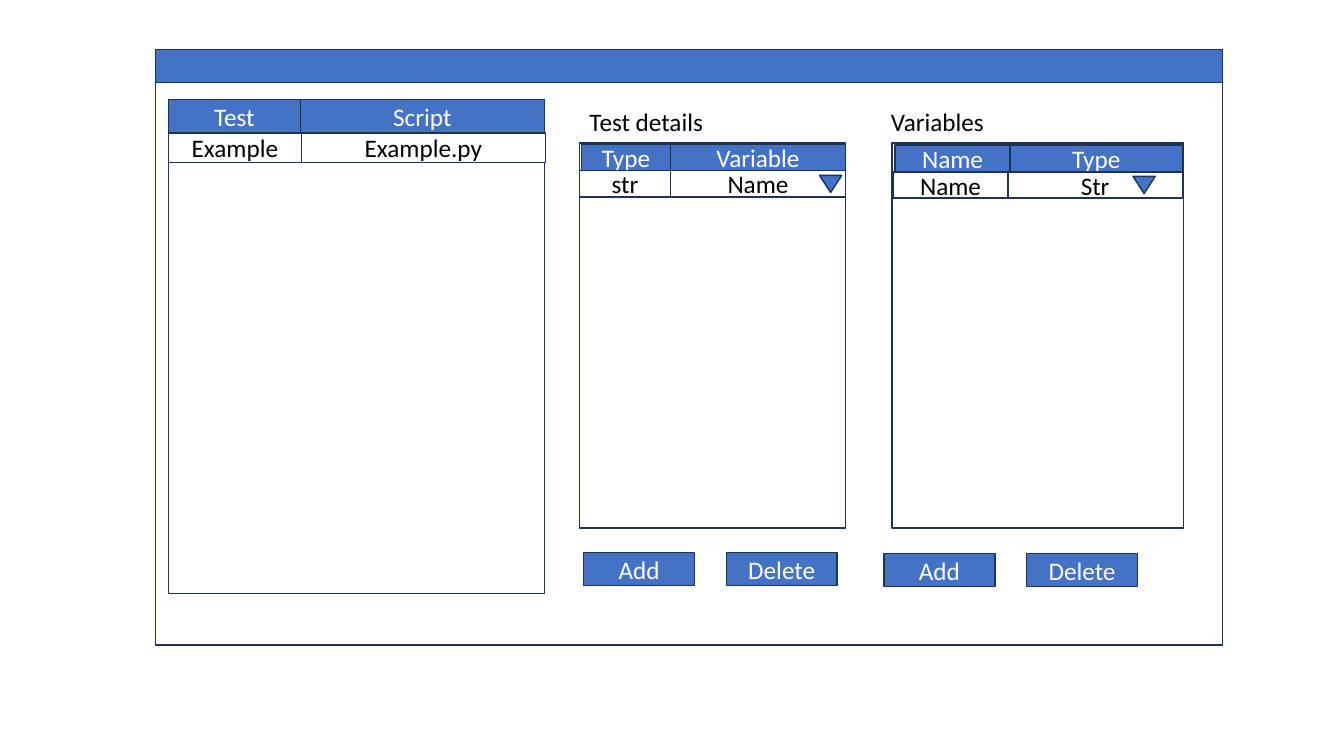
from dataclasses import dataclass
from typing import Optional

from pptx import Presentation
from pptx import util as u
from pptx.dml.color import RGBColor
from pptx.enum import shapes, text

# Grid: ten columns and ten rows to the inch
CELL = u.Inches(0.1)
COLUMNS, ROWS = 133.33, 75

FONT = "Calibri"
FONT_SIZE = u.Pt(18)
COLOURS = {"blue": "4472C4", "outline": "1E3256", "white": "FFFFFF", "black": "000000"}


@dataclass(frozen=True)
class Box:
    left: float
    top: float
    width: float
    height: float

    def lengths(self) -> tuple:
        return tuple(round(n * CELL) for n in (self.left, self.top, self.width, self.height))


@dataclass(frozen=True)
class Row:
    left: float
    top: float
    height: float
    widths: tuple
    labels: tuple
    fill: str = "white"


@dataclass(frozen=True)
class Panel:
    frame: Box
    rows: tuple
    title: str = ""
    title_box: Optional[Box] = None
    buttons: Optional[Row] = None
    arrow: Optional[Box] = None


WINDOW = Box(15.4, 4.9, 105.9, 59.1)
TITLE_BAR = Box(15.4, 4.9, 105.9, 3.3)
BUTTON_WIDTH, BUTTON_STEP = 11, 14.15
BUTTON_LABELS = ("Add", "Delete")

PANELS = (
    Panel(
        frame=Box(16.7, 9.9, 37.3, 49),
        rows=(
            Row(16.7, 9.9, 3.3, (13.1, 24.2), ("Test", "Script"), "blue"),
            Row(16.7, 13.2, 2.9, (13.2, 24.2), ("Example", "Example.py")),
        ),
    ),
    Panel(
        frame=Box(57.5, 14.2, 26.4, 38.2),
        rows=(
            Row(57.7, 14.3, 2.6, (8.8, 17.4), ("Type", "Variable"), "blue"),
            Row(57.5, 16.95, 2.6, (9, 17.4), ("str", "Name")),
        ),
        title="Test details",
        title_box=Box(57.5, 10.1, 13.4, 4),
        buttons=Row(57.9, 54.8, 3.3, (BUTTON_STEP,) * 2, BUTTON_LABELS, "blue"),
        arrow=Box(81.3, 17.4, 2.2, 1.7),
    ),
    Panel(
        frame=Box(88.5, 14.2, 28.9, 38.2),
        rows=(
            Row(88.8, 14.4, 2.65, (11.4, 17.1), ("Name", "Type"), "blue"),
            Row(88.6, 17.05, 2.6, (11.4, 17.3), ("Name", "Str")),
        ),
        title="Variables",
        title_box=Box(87.4, 10.1, 11.3, 4),
        buttons=Row(87.7, 54.9, 3.3, (BUTTON_STEP,) * 2, BUTTON_LABELS, "blue"),
        arrow=Box(112.4, 17.5, 2.2, 1.7),
    ),
)


def colour(name: str) -> RGBColor:
    return RGBColor.from_string(COLOURS[name])


def add_label(paragraph, label: str, colour_name: str) -> None:
    run = paragraph.add_run()
    run.text = label
    run.font.name = FONT
    run.font.size = FONT_SIZE
    run.font.color.rgb = colour(colour_name)


def add_box(parent, box: Box, fill: str, label: str = "",
            kind=shapes.MSO_SHAPE.RECTANGLE):
    shape = parent.add_shape(kind, *box.lengths())
    shape.shadow.inherit = False
    shape.fill.solid()
    shape.fill.fore_color.rgb = colour(fill)
    shape.line.color.rgb = colour("outline")
    shape.line.width = u.Pt(1)
    if label:
        shape.text_frame.vertical_anchor = text.MSO_ANCHOR.MIDDLE
        paragraph = shape.text_frame.paragraphs[0]
        paragraph.alignment = text.PP_ALIGN.CENTER
        add_label(paragraph, label, "white" if fill == "blue" else "black")
    return shape


def add_row(parent, row: Row, box_width: Optional[float] = None) -> None:
    left = row.left
    for width, label in zip(row.widths, row.labels):
        add_box(parent, Box(left, row.top, box_width or width, row.height), row.fill, label)
        left += width


def add_title(parent, box: Box, title: str) -> None:
    frame = parent.add_textbox(*box.lengths()).text_frame
    frame.word_wrap = False
    frame.auto_size = text.MSO_AUTO_SIZE.SHAPE_TO_FIT_TEXT
    add_label(frame.paragraphs[0], title, "black")


def add_panel(parent, panel: Panel) -> None:
    add_box(parent, panel.frame, "white")
    for row in panel.rows:
        add_row(parent, row)
    if panel.title_box:
        add_title(parent, panel.title_box, panel.title)
    if panel.buttons:
        add_row(parent, panel.buttons, BUTTON_WIDTH)
    if panel.arrow:
        arrow = add_box(parent, panel.arrow, "blue",
                        kind=shapes.MSO_SHAPE.ISOSCELES_TRIANGLE)
        arrow.rotation = 180


def main() -> None:
    presentation = Presentation()
    presentation.slide_width = round(COLUMNS * CELL)
    presentation.slide_height = ROWS * CELL
    slide = presentation.slides.add_slide(presentation.slide_layouts[6])

    # Application window
    window = slide.shapes.add_group_shape()
    add_box(window.shapes, WINDOW, "white")
    add_box(window.shapes, TITLE_BAR, "blue")

    # Panels with their tables and buttons
    for panel in PANELS:
        add_panel(slide.shapes, panel)

    presentation.save("out.pptx")


if __name__ == "__main__":
    main()
